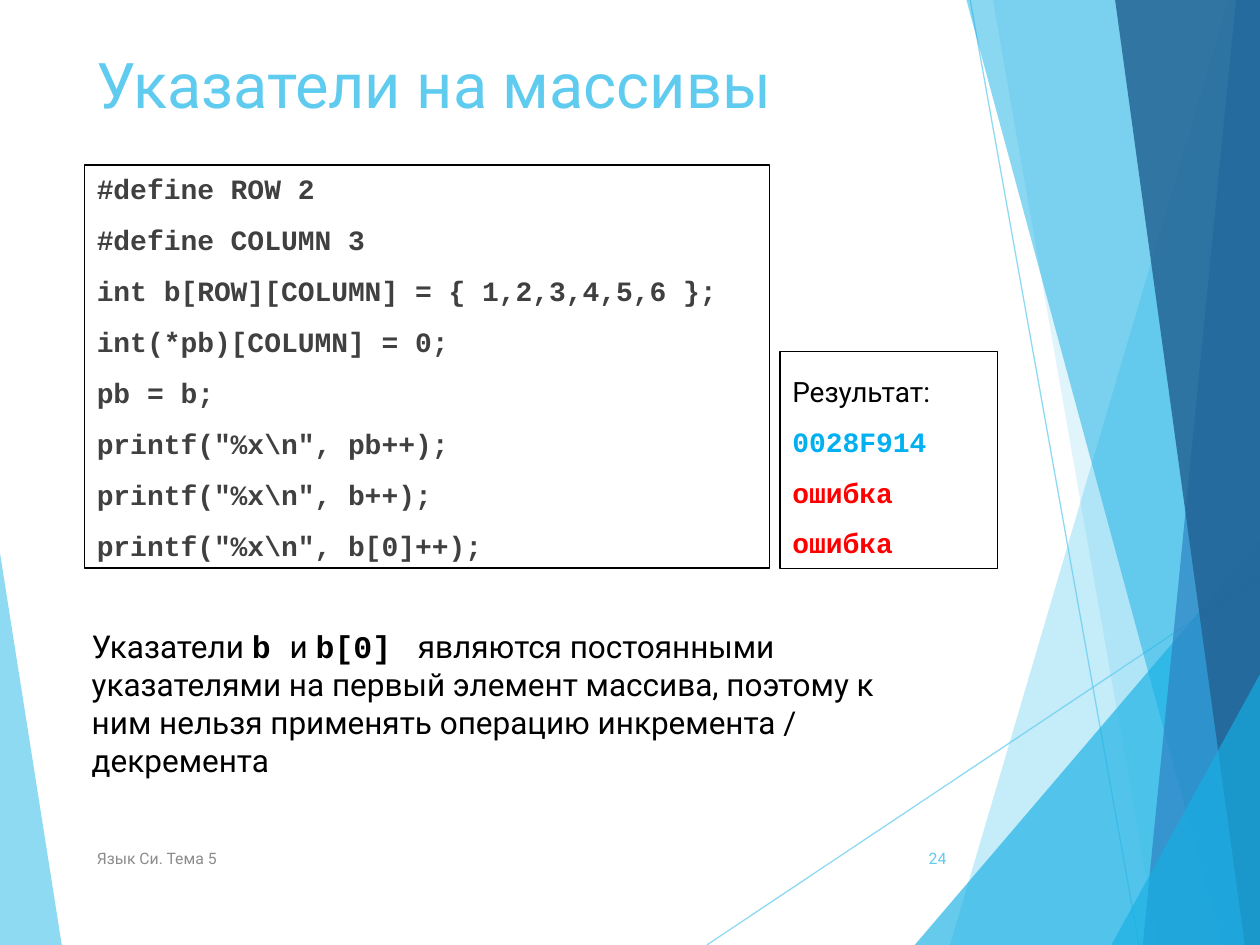
import pptx
import pptx.util
import pptx.dml.color
import pptx.enum.shapes
import pptx.enum.text
import pptx.oxml
import pptx.oxml.ns
import lxml.etree

Inches = pptx.util.Inches
Pt = pptx.util.Pt
RGB = pptx.dml.color.RGBColor.from_string
qn = pptx.oxml.ns.qn

COLORS = {
    "sky": "5FCBEF", "cyan": "17B0E4", "blue": "2E83C3", "navy": "226292",
    "black": "000000", "code": "404040", "footer": "8C8C8C",
    "value": "00B0F0", "error": "FF0000",
}
SANS, MONO = "Roboto", "Courier New"
RIGHT, BOTTOM = 10, 7.5

deck = pptx.Presentation()
deck.slide_width, deck.slide_height = Inches(RIGHT), Inches(BOTTOM)
page = deck.slides.add_slide(deck.slide_layouts[6])


def set_alpha(shape, percent):
    """Make the solid colour of a shape's fill or line partly transparent."""
    color = next(shape._element.spPr.iter(qn("a:srgbClr")))
    lxml.etree.SubElement(color, qn("a:alpha")).set("val", str(percent * 1000))


def style(span, font, size, color, bold=False):
    span.font.name, span.font.size, span.font.bold = font, Pt(size), bold
    span.font.color.rgb = RGB(COLORS[color])


# Decoration: one facet on the left, two thin lines, seven facets on the right
facets = [
    ("sky", 70, [(0, 4.39), (0.49, BOTTOM), (0, BOTTOM)]),
    ("sky", 36, [(9.75, 0), (7.54, BOTTOM), (RIGHT, BOTTOM), (RIGHT, 0)]),
    ("sky", 20, [(7.88, 0), (9.19, BOTTOM), (RIGHT, BOTTOM), (RIGHT, 0)]),
    ("cyan", 66, [(7.26, BOTTOM), (RIGHT, 4.29), (RIGHT, BOTTOM)]),
    ("cyan", 50, [(7.67, 0), (9.7, BOTTOM), (RIGHT, BOTTOM), (RIGHT, 0)]),
    ("blue", 70, [(9.81, 0), (9.07, BOTTOM), (RIGHT, BOTTOM), (RIGHT, 0)]),
    ("navy", 82, [(8.85, 0), (9.88, BOTTOM), (RIGHT, BOTTOM), (RIGHT, 0)]),
    ("cyan", 66, [(8.82, BOTTOM), (RIGHT, 5.35), (RIGHT, BOTTOM)]),
]
thin_lines = [(5.61, BOTTOM, RIGHT, 4.57), (7.7, 0, 9.04, BOTTOM)]

for index, (color, alpha, points) in enumerate(facets):
    corners = [(Inches(x), Inches(y)) for x, y in points]
    builder = page.shapes.build_freeform(*corners[0])
    builder.add_line_segments(corners[1:], close=True)
    facet = builder.convert_to_shape()
    facet.shadow.inherit = False
    facet.fill.solid()
    facet.fill.fore_color.rgb = RGB(COLORS[color])
    facet.line.fill.background()
    set_alpha(facet, alpha)
    if index == 0:
        for ends in thin_lines:
            line = page.shapes.add_connector(
                pptx.enum.shapes.MSO_CONNECTOR.STRAIGHT, *map(Inches, ends))
            line.line.color.rgb = RGB(COLORS["sky"])
            line.line.width = Pt(0.75)
            set_alpha(line, 70)
            lxml.etree.SubElement(line._element.spPr, qn("a:effectLst"))

# Title, footer and page number
middle = pptx.enum.text.MSO_ANCHOR.MIDDLE
top = pptx.enum.text.MSO_ANCHOR.TOP
left = pptx.enum.text.PP_ALIGN.LEFT
right = pptx.enum.text.PP_ALIGN.RIGHT
labels = [
    ("Указатели на массивы", (0.67, 0.31, 6.94, 1.44), 36, "sky", top, left),
    ("Язык Си. Тема 5", (0.67, 6.61, 5.06, 0.4), 9, "footer", middle, left),
    ("24", (7.05, 6.61, 0.56, 0.4), 9, "sky", middle, right),
]
for text, place, size, color, anchor, align in labels:
    box = page.shapes.add_textbox(*map(Inches, place))
    frame = box.text_frame
    frame.text = text
    frame.word_wrap = True
    frame.vertical_anchor = anchor
    frame.paragraphs[0].alignment = align
    style(frame.paragraphs[0].runs[0], SANS, size, color)

# Framed boxes: program code and its result
code = r"""#define ROW 2
#define COLUMN 3
int b[ROW][COLUMN] = { 1,2,3,4,5,6 };
int(*pb)[COLUMN] = 0;
pb = b;
printf("%x\n", pb++);
printf("%x\n", b++);
printf("%x\n", b[0]++);"""
code_lines = [(text, MONO, "code") for text in code.split("\n")]
result_lines = [
    ("Результат:", SANS, "black"),
    ("0028F914", MONO, "value"),
    ("ошибка", MONO, "error"),
    ("ошибка", MONO, "error"),
]
panels = [
    ((0.67, 1.31, 5.44, 3.2), code_lines, 10, 1),
    ((6.19, 2.79, 1.73, 1.72), result_lines, 0, 1.5),
]
for place, lines, gap, spacing in panels:
    panel = page.shapes.add_shape(
        pptx.enum.shapes.MSO_SHAPE.RECTANGLE, *map(Inches, place))
    panel.shadow.inherit = False
    panel.fill.background()
    panel.line.color.rgb = RGB(COLORS["black"])
    panel.line.width = Pt(0.75)
    frame = panel.text_frame
    frame.text = "\n".join(text for text, font, color in lines)
    frame.word_wrap = True
    frame.vertical_anchor = top
    for index, (para, (text, font, color)) in enumerate(zip(frame.paragraphs, lines)):
        para.alignment = left
        para.line_spacing = spacing
        para.space_before = Pt(gap if index else 0)
        style(para.runs[0], font, 16, color, bold=font == MONO)

# Conclusion with inline code
conclusion = [
    ("Указатели ", SANS),
    ("b ", MONO),
    ("и ", SANS),
    ("b[0] ", MONO),
    (" являются постоянными указателями на первый элемент массива, "
     "поэтому к ним нельзя применять операцию инкремента / декремента", SANS),
]
box = page.shapes.add_textbox(Inches(0.63), Inches(4.93), Inches(6.66), Inches(1.31))
box.text_frame.word_wrap = True
box.text_frame.auto_size = pptx.enum.text.MSO_AUTO_SIZE.SHAPE_TO_FIT_TEXT
para = box.text_frame.paragraphs[0]
for text, font in conclusion:
    span = para.add_run()
    span.text = text
    style(span, font, 18, "black", bold=font == MONO)

deck.save("out.pptx")
